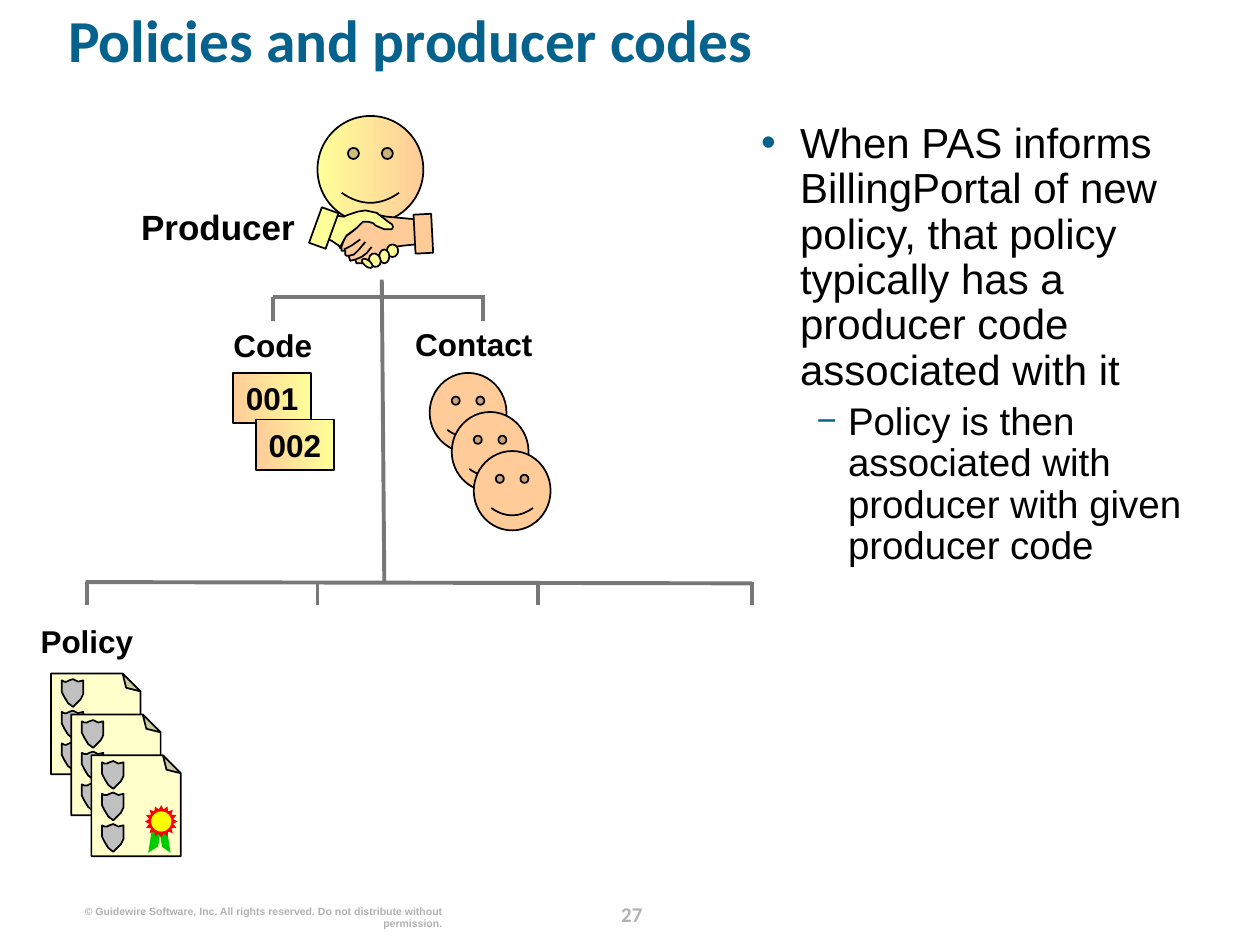
from dataclasses import dataclass

from lxml import etree
from pptx import Presentation
from pptx import util as u
from pptx.dml.color import RGBColor
from pptx.enum import shapes, text
from pptx.oxml import ns


@dataclass(frozen=True)
class Theme:
    heading_font: str = "Calibri"
    body_font: str = "Arial"
    blue: str = "04628C"
    black: str = "000000"
    footer: str = "B2B2B2"
    rule: str = "777777"
    orange: str = "FFCC99"
    yellow: str = "FFFF99"
    paper: str = "FFFFCC"
    shield: str = "C0C0C0"
    ribbon: str = "00CC00"
    seal: str = "FF0000"
    seal_center: str = "FFFF00"
    title_size: int = 34
    bullet_size: int = 24
    sub_bullet_size: int = 22
    producer_size: int = 20
    label_size: int = 18
    number_size: int = 12
    copyright_size: int = 6
    outline: float = 1
    rule_width: float = 2.25


theme = Theme()
Inches = u.Inches
preset = shapes.MSO_SHAPE
align = text.PP_ALIGN


def write(frame, words, size, color=theme.black, font=theme.body_font, bold=True,
          alignment=align.CENTER, anchor=text.MSO_ANCHOR.TOP, spacing=1.0,
          bullet=None, level=0, left=0, hang=0, bullet_percent=100, before=0):
    """Add one paragraph to a text frame and format it."""
    frame.word_wrap = True
    frame.auto_size = text.MSO_AUTO_SIZE.NONE
    frame.vertical_anchor = anchor
    frame.margin_left = frame.margin_right = frame.margin_top = frame.margin_bottom = 0
    para = frame.add_paragraph() if frame.text else frame.paragraphs[0]
    para.level = level
    if bullet:
        props = para._p.get_or_add_pPr()
        props.set("marL", str(Inches(left)))
        props.set("indent", str(-Inches(hang)))
        bullet_color = etree.SubElement(props, ns.qn("a:buClr"))
        etree.SubElement(bullet_color, ns.qn("a:srgbClr"), val=theme.blue)
        etree.SubElement(props, ns.qn("a:buSzPct"), val=str(bullet_percent * 1000))
        etree.SubElement(props, ns.qn("a:buFont"), typeface=theme.body_font)
        etree.SubElement(props, ns.qn("a:buChar"), char=bullet)
    para.alignment = alignment
    para.line_spacing = spacing
    para.space_before = u.Pt(before)
    span = para.add_run()
    span.text = words
    span.font.size = u.Pt(size)
    span.font.name = font
    span.font.bold = bold
    span.font.color.rgb = RGBColor.from_string(color)


def paint(shape, fill=None, outlined=True, rotation=0, flip=False, adjust=None):
    """Fill with one color, a pair for a gradient, or nothing; turn and adjust."""
    shape.shadow.inherit = False
    shape.rotation = rotation
    if flip:
        shape._element.spPr.xfrm.set("flipH", "1")
    if adjust is not None:
        geometry = shape._element.spPr.find(ns.qn("a:prstGeom"))
        for old in list(geometry):
            geometry.remove(old)
        guides = etree.SubElement(geometry, ns.qn("a:avLst"))
        etree.SubElement(guides, ns.qn("a:gd"), name="adj", fmla=f"val {round(adjust * 100000)}")
    if fill is None:
        shape.fill.background()
    elif isinstance(fill, tuple):
        shape.fill.gradient()
        shape.fill.gradient_angle = 0
        for stop, color in zip(shape.fill.gradient_stops, fill):
            stop.color.rgb = RGBColor.from_string(color)
    else:
        shape.fill.solid()
        shape.fill.fore_color.rgb = RGBColor.from_string(fill)
    if outlined:
        shape.line.color.rgb = RGBColor.from_string(theme.black)
        shape.line.width = u.Pt(theme.outline)
    else:
        shape.line.fill.background()


deck = Presentation()
deck.slide_width, deck.slide_height = Inches(10), Inches(7.5)
page = deck.slides.add_slide(deck.slide_layouts[1])

# Title and bullets
title, body = page.shapes.title, page.placeholders[1]
for box, place in [(title, (0.54, 0.13, 9.1, 0.81)), (body, (6.04, 0.97, 3.62, 6.01))]:
    box.left, box.top, box.width, box.height = map(Inches, place)
write(title.text_frame, "Policies and producer codes", theme.title_size, theme.blue,
      theme.heading_font, alignment=align.LEFT, spacing=0.8)
write(body.text_frame, "When PAS informs BillingPortal of new policy, that policy typically "
      "has a producer code associated with it", theme.bullet_size, bold=False,
      alignment=align.LEFT, spacing=0.9, bullet="•", left=0.31, hang=0.31)
write(body.text_frame, "Policy is then associated with producer with given producer code",
      theme.sub_bullet_size, bold=False, alignment=align.LEFT, spacing=0.9, bullet="−",
      level=1, left=0.69, hang=0.25, bullet_percent=90, before=4.4)

# Footer and labels
label = dict(size=theme.label_size)
for words, place, style in [
    ("27", (4.73, 7.13, 0.57, 0.25),
     dict(size=theme.number_size, color=theme.footer, font=theme.heading_font,
          anchor=text.MSO_ANCHOR.MIDDLE)),
    ("© Guidewire Software, Inc. All rights reserved. Do not distribute without permission.",
     (0.61, 7.19, 2.9, 0.2),
     dict(size=theme.copyright_size, color=theme.footer, alignment=align.RIGHT, spacing=0.95)),
    ("Producer", (1.09, 1.63, 1.28, 0.33), dict(size=theme.producer_size)),
    ("Policy", (0.27, 4.94, 0.84, 0.3), label),
    ("Contact", (3.12, 2.58, 1.28, 0.3), label),
    ("Code", (1.64, 2.59, 1.05, 0.3), label),
]:
    write(page.shapes.add_textbox(*map(Inches, place)).text_frame, words, **style)

# Producer: smiling face above a handshake
producer = page.shapes.add_group_shape().shapes
face = producer.add_shape(preset.SMILEY_FACE, *map(Inches, (2.52, 0.92, 0.84, 0.85)))
paint(face, (theme.yellow, theme.orange))
right_hand = [
    (3.29, 1.74), (3.07, 1.72), (3.02, 1.71), (2.87, 1.71), (2.72, 1.78), (2.67, 1.85),
    (2.81, 1.8), (2.82, 1.82), (2.74, 1.88), (2.71, 1.96), (2.71, 1.99), (2.74, 1.99),
    (2.74, 2.02), (2.75, 2.03), (2.77, 2.03), (2.77, 2.04), (2.78, 2.07), (2.82, 2.06),
    (2.83, 2.09), (2.87, 2.09), (2.92, 2.07), (3.03, 2.01), (3.13, 1.96), (3.2, 1.95),
    (3.3, 1.94), (3.33, 1.94), (3.32, 1.86)]
left_hand = [
    (2.66, 1.71), (2.73, 1.72), (2.75, 1.71), (2.84, 1.68), (2.9, 1.67), (2.99, 1.69),
    (3.03, 1.72), (3.08, 1.76), (3.11, 1.78), (3.12, 1.8), (3.11, 1.82), (3.05, 1.82),
    (2.98, 1.79), (2.96, 1.77), (2.92, 1.76), (2.88, 1.76), (2.83, 1.81), (2.75, 1.87),
    (2.71, 1.94), (2.7, 1.97), (2.69, 1.95), (2.66, 1.93), (2.63, 1.91), (2.6, 1.9),
    (2.62, 1.83)]
cuffs_and_fingers = [
    (preset.RECTANGLE, (3.29, 1.7, 0.14, 0.31), theme.orange, 357),
    (preset.RECTANGLE, (2.5, 1.66, 0.14, 0.3), theme.yellow, 19.9),
    (preset.OVAL, (3.07, 1.94, 0.09, 0.1), theme.yellow, 0),
    (preset.OVAL, (3.01, 1.98, 0.08, 0.11), theme.yellow, 0),
    (preset.OVAL, (2.93, 2.01, 0.09, 0.11), theme.yellow, 336.5),
    (preset.OVAL, (2.89, 2.04, 0.05, 0.1), theme.yellow, 308.3)]
finger_lines = [
    [(2.73, 1.98), (2.79, 1.95), (2.86, 1.9)],
    [(2.77, 2.03), (2.81, 2.02), (2.85, 1.98), (2.9, 1.92)],
    [(2.82, 2.06), (2.87, 2.04), (2.91, 2.01), (2.95, 1.96)]]
for points, fill in [(right_hand, theme.orange), (left_hand, theme.yellow)]:
    builder = producer.build_freeform(*map(Inches, points[0]))
    builder.add_line_segments([tuple(map(Inches, point)) for point in points[1:]])
    paint(builder.convert_to_shape(), fill)
for kind, place, fill, turn in cuffs_and_fingers:
    paint(producer.add_shape(kind, *map(Inches, place)), fill, rotation=turn)
for points in finger_lines:
    builder = producer.build_freeform(*map(Inches, points[0]))
    builder.add_line_segments([tuple(map(Inches, point)) for point in points[1:]], close=False)
    paint(builder.convert_to_shape())

# Policies: three overlapping sheets with shields and a rosette
shield_points = [
    (0.09, 0.22), (0.05, 0.19), (0.02, 0.14), (0, 0.1), (0, 0.01), (0.02, 0.02),
    (0.04, 0.02), (0.06, 0.01), (0.09, 0), (0.11, 0.01), (0.13, 0.02), (0.17, 0.01),
    (0.17, 0.12), (0.15, 0.16), (0.11, 0.2)]
rosette = [
    (preset.PARALLELOGRAM, (0.79, 5.97, 0.24, 0.07), theme.ribbon, 278.9, True, 0.88),
    (preset.PARALLELOGRAM, (0.86, 5.97, 0.25, 0.06), theme.ribbon, 81.1, False, 0.98),
    (preset.STAR_16_POINT, (0.83, 5.74, 0.26, 0.26), theme.seal, 0, False, None),
    (preset.OVAL, (0.88, 5.79, 0.16, 0.16), theme.seal_center, 0, False, None)]
for sheet in range(3):
    dx, dy = 0.16 * sheet, 0.325 * sheet
    policy = page.shapes.add_group_shape().shapes
    paper = policy.add_shape(preset.FOLDED_CORNER,
                             *map(Inches, (0.36 + dx, 5.39 + dy, 0.8, 0.71)))
    paint(paper, theme.paper, rotation=270, adjust=0.2)
    for row in range(3):
        outline = [(Inches(0.49 + dx + x), Inches(5.39 + dy + 0.25 * row + y))
                   for x, y in shield_points]
        builder = policy.build_freeform(*outline[0])
        builder.add_line_segments(outline[1:])
        paint(builder.convert_to_shape(), theme.shield)
    for kind, (x, y, width, height), fill, turn, flip, slant in rosette:
        part = policy.add_shape(kind, *map(Inches, (x + dx, y + dy, width, height)))
        paint(part, fill, outlined=False, rotation=turn, flip=flip, adjust=slant)

# Contacts and producer codes
for step in range(3):
    place = (3.41 + 0.175 * step, 2.96 + 0.31 * step, 0.61, 0.63)
    paint(page.shapes.add_shape(preset.SMILEY_FACE, *map(Inches, place)), theme.orange)
for step, code in enumerate(["001", "002"]):
    place = (1.85 + 0.18 * step, 2.96 + 0.37 * step, 0.62, 0.4)
    card = page.shapes.add_shape(preset.RECTANGLE, *map(Inches, place))
    paint(card, (theme.orange, theme.yellow))
    write(card.text_frame, code, theme.label_size, anchor=text.MSO_ANCHOR.MIDDLE)

# Tree lines: trunk, two crossbars and their drops
tree = [(3.05, 4.62, 3.03, 2.22), (0.68, 4.62, 5.97, 4.63), (2.17, 2.36, 3.85, 2.36)]
tree += [(x, 4.62, x, 4.8) for x in (0.69, 2.52, 4.27, 5.97)]
tree += [(x, 2.36, x, 2.55) for x in (2.17, 3.83)]
for ends in tree:
    branch = page.shapes.add_connector(shapes.MSO_CONNECTOR.STRAIGHT, *map(Inches, ends))
    branch.line.color.rgb = RGBColor.from_string(theme.rule)
    branch.line.width = u.Pt(theme.rule_width)
    etree.SubElement(branch._element.spPr, ns.qn("a:effectLst"))

deck.save("out.pptx")
